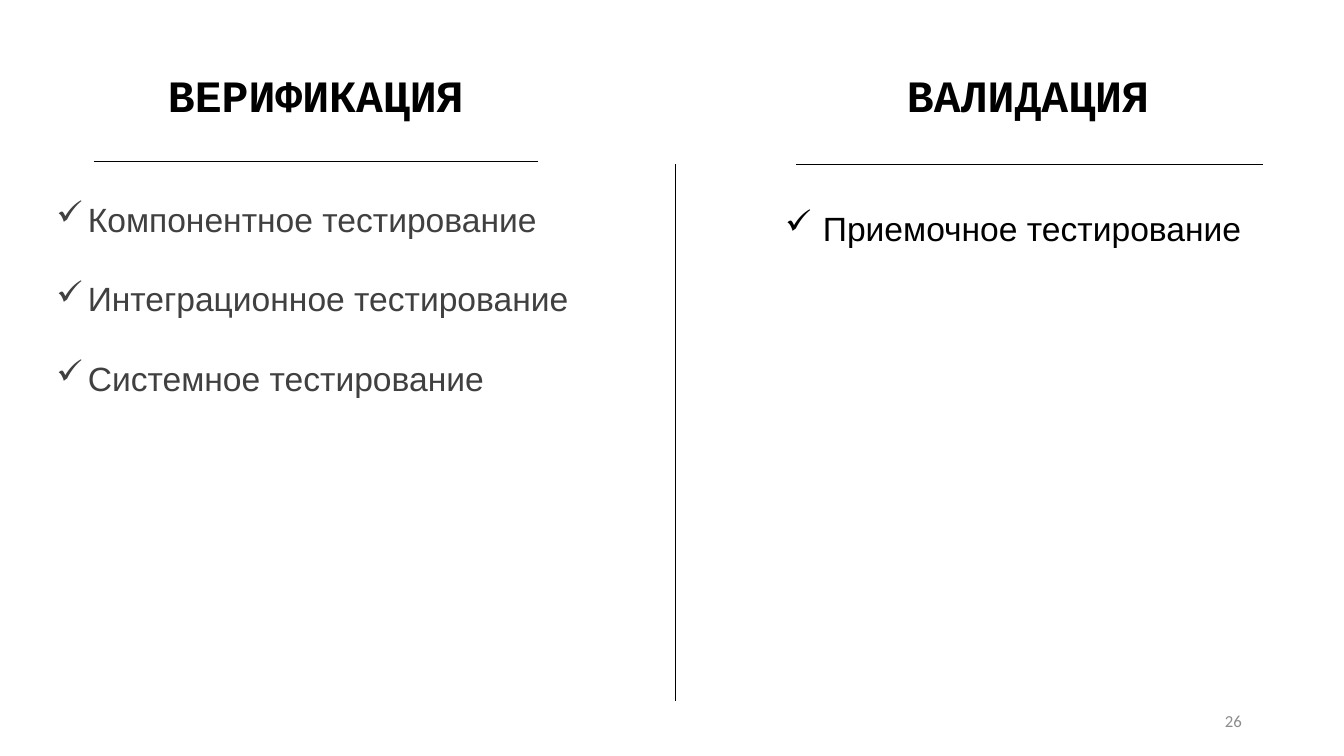
"""Build a slide that sets verification testing beside validation testing."""
from lxml import etree
from pptx import Presentation
from pptx.dml.color import RGBColor
from pptx.enum import shapes, text as text_enum
from pptx.oxml import ns
from pptx.util import Pt

COLOURS = {"black": "000000", "dark": "404040", "grey": "8C8C8C"}
ALIGN = text_enum.PP_ALIGN
ANCHOR = text_enum.MSO_ANCHOR

presentation = Presentation()
presentation.slide_width, presentation.slide_height = Pt(960), Pt(540)
slide = presentation.slides.add_slide(presentation.slide_layouts[5])


def write_text(text, box, shape=None, font="Arial", size=24, colour="black", bold=False,
               align=ALIGN.LEFT, anchor=ANCHOR.TOP, wrap=True, indent=0, gap=0, spacing=1):
    """Write one paragraph per line of text, with check marks when indent is set."""
    left, top, width, height = map(Pt, box)
    shape = shape or slide.shapes.add_textbox(left, top, width, height)
    shape.left, shape.top, shape.width, shape.height = left, top, width, height
    frame = shape.text_frame
    frame.text = text
    frame.word_wrap = wrap
    frame.auto_size = text_enum.MSO_AUTO_SIZE.NONE
    frame.vertical_anchor = anchor
    for paragraph in frame.paragraphs:
        paragraph.alignment = align
        paragraph.line_spacing = spacing
        paragraph.space_after = Pt(gap)
        run_font = paragraph.runs[0].font
        run_font.name, run_font.size, run_font.bold = font, Pt(size), bold
        run_font.color.rgb = RGBColor.from_string(COLOURS[colour])
        if indent:
            properties = paragraph._p.get_or_add_pPr()
            properties.set("marL", str(Pt(indent)))
            properties.set("indent", str(-Pt(indent)))
            etree.SubElement(properties, ns.qn("a:buChar"), char="✓")


heading = {"font": "Courier New", "size": 32, "bold": True, "wrap": False}
write_text("ВЕРИФИКАЦИЯ", (111.6, 44.6, 228.2, 46), shape=slide.shapes.title,
           align=ALIGN.CENTER, **heading)
write_text("ВАЛИДАЦИЯ", (640.8, 44.6, 189.4, 46), **heading)

write_text("Компонентное тестирование\nИнтеграционное тестирование\nСистемное тестирование",
           (33.1, 138.2, 385.2, 181.4), colour="dark", indent=22.5, gap=28)
write_text("Приемочное тестирование", (553.7, 130.3, 363.6, 45.4), indent=27, spacing=1.5)

left_rule = (67, 115.2, 384.5, 115.2)
right_rule = (568.8, 117.4, 902.2, 117.4)
divider = (482.4, 117.4, 482.4, 500.4)
for ends in (left_rule, right_rule, divider):
    line = slide.shapes.add_connector(shapes.MSO_CONNECTOR.STRAIGHT, *map(Pt, ends))
    line.line.color.rgb = RGBColor.from_string(COLOURS["black"])
    line.line.width = Pt(0.5)
    etree.SubElement(line._element.spPr, ns.qn("a:effectLst"))

write_text("26", (678.2, 500.4, 216, 28.8), font="Calibri", size=12, colour="grey",
           align=ALIGN.RIGHT, anchor=ANCHOR.MIDDLE)

presentation.save("out.pptx")
